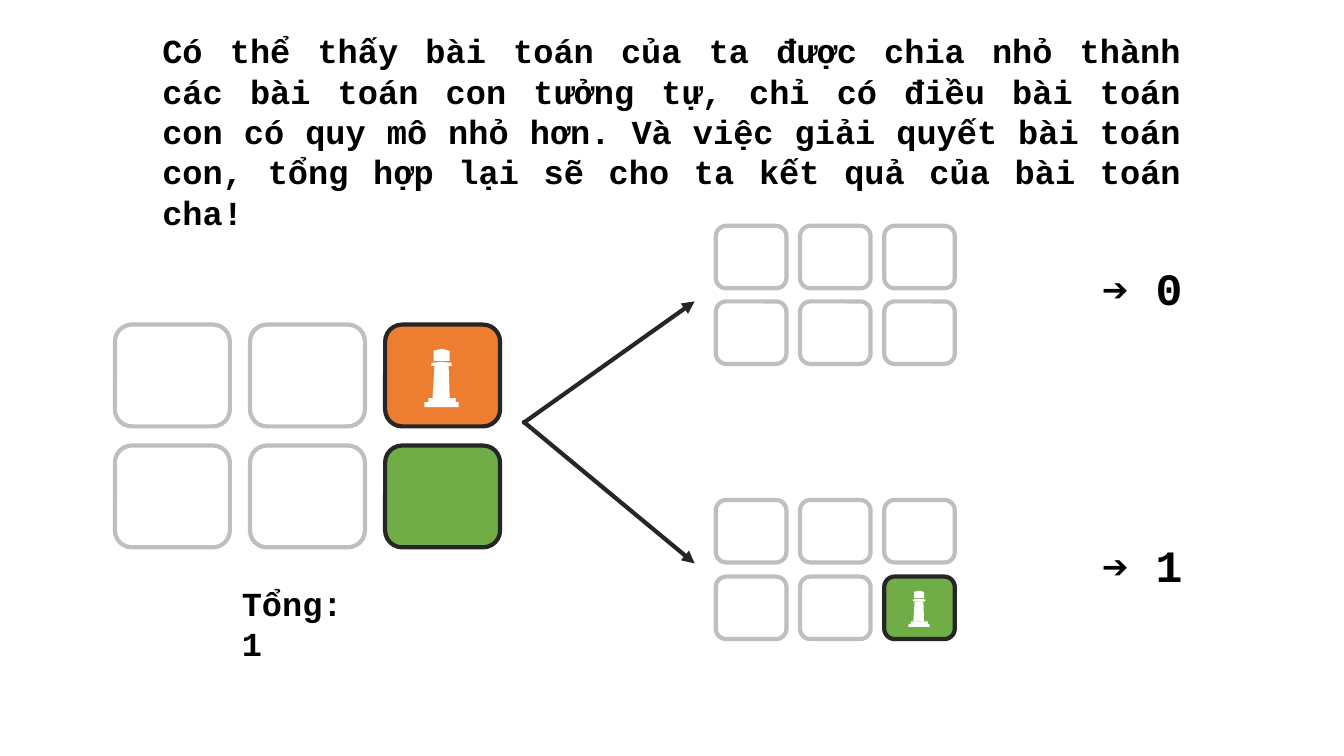
from dataclasses import dataclass, field

from pptx import Presentation
from pptx.dml.color import RGBColor
from pptx.enum.shapes import MSO_CONNECTOR, MSO_SHAPE
from pptx.enum.text import MSO_ANCHOR, MSO_AUTO_SIZE, PP_ALIGN
from pptx.oxml.ns import qn
from pptx.shapes.autoshape import Shape
from pptx.slide import Slide
from pptx.util import Inches, Pt


@dataclass(frozen=True)
class Theme:
    font: str = "Courier New"
    text: RGBColor = RGBColor(0x00, 0x00, 0x00)
    dark: RGBColor = RGBColor(0x26, 0x26, 0x26)
    empty_border: RGBColor = RGBColor(0xBF, 0xBF, 0xBF)
    orange: RGBColor = RGBColor(0xED, 0x7D, 0x31)
    green: RGBColor = RGBColor(0x70, 0xAD, 0x47)
    tower: RGBColor = RGBColor(0xFF, 0xFF, 0xFF)
    body_size: int = 24
    result_size: int = 32
    border: int = 3


THEME = Theme()
ROWS, COLUMNS = 2, 3


@dataclass(frozen=True)
class Board:
    """A 2 x 3 board in inches; fills maps (row, column) to a cell colour."""
    left: float
    top: float
    width: float
    height: float
    cell_width: float
    cell_height: float
    fills: dict[tuple[int, int], RGBColor] = field(default_factory=dict)


@dataclass(frozen=True)
class Tower:
    left: float
    top: float
    scale: float


@dataclass(frozen=True)
class Label:
    left: float
    top: float
    width: float
    height: float
    text: str
    size: int


BOARDS = [
    Board(1.14, 3.22, 3.82, 2.21, 1.14, 1.01,
          {(0, 2): THEME.orange, (1, 2): THEME.green}),
    Board(7.1, 2.24, 2.37, 1.37, 0.7, 0.62),
    Board(7.1, 4.96, 2.37, 1.38, 0.7, 0.62, {(1, 2): THEME.green}),
]
TOWERS = [Tower(4.21, 3.46, 1), Tower(9.01, 5.86, 0.62)]
TOWER_OUTLINES = [
    [(0.09, 0.02), (0.17, 0), (0.25, 0.02), (0.25, 0.12), (0.09, 0.12)],
    [(0.07, 0.14), (0.17, 0.13), (0.27, 0.14), (0.27, 0.17), (0.07, 0.17)],
    [(0.1, 0.17), (0.24, 0.17), (0.25, 0.49), (0.08, 0.49)],
]
TOWER_STEPS = [(0.04, 0.49, 0.27, 0.04), (0, 0.53, 0.34, 0.05)]
LABELS = [
    Label(10.83, 2.54, 1.17, 0.64, "➔ 0", THEME.result_size),
    Label(10.83, 5.29, 1.17, 0.64, "➔ 1", THEME.result_size),
    Label(2.3, 5.73, 1.5, 0.5, "Tổng: 1", THEME.body_size),
]
FORK = (5.2, 4.19)
BRANCH_ENDS = [(6.89, 2.99), (6.89, 5.59)]
FORK_DOT = 0.05
EXPLANATION = (
    "Có thể thấy bài toán của ta được chia nhỏ thành các bài toán con tưởng tự, "
    "chỉ có điều bài toán con có quy mô nhỏ hơn. Và việc giải quyết bài toán con, "
    "tổng hợp lại sẽ cho ta kết quả của bài toán cha!"
)


def write(shape: Shape, text: str, size: int, align: PP_ALIGN) -> None:
    frame = shape.text_frame
    frame.word_wrap = True
    frame.auto_size = MSO_AUTO_SIZE.SHAPE_TO_FIT_TEXT
    frame.vertical_anchor = MSO_ANCHOR.TOP
    paragraph = frame.paragraphs[0]
    paragraph.alignment = align
    run = paragraph.add_run()
    run.text = text
    run.font.name = THEME.font
    run.font.size = Pt(size)
    run.font.bold = True
    run.font.color.rgb = THEME.text


def fill_flat(shape: Shape, color: RGBColor) -> None:
    shape.shadow.inherit = False
    shape.fill.solid()
    shape.fill.fore_color.rgb = color
    shape.line.fill.background()


def add_explanation(slide: Slide) -> None:
    title = slide.shapes.title
    title.left, title.top = Inches(1.51), Inches(0.25)
    title.width, title.height = Inches(10.3), Inches(1.72)
    write(title, EXPLANATION, THEME.body_size, PP_ALIGN.JUSTIFY)


def add_board(slide: Slide, board: Board) -> None:
    column_step = (board.width - board.cell_width) / (COLUMNS - 1)
    row_step = (board.height - board.cell_height) / (ROWS - 1)
    for row in range(ROWS):
        for column in range(COLUMNS):
            cell = slide.shapes.add_shape(
                MSO_SHAPE.ROUNDED_RECTANGLE,
                Inches(board.left + column * column_step),
                Inches(board.top + row * row_step),
                Inches(board.cell_width), Inches(board.cell_height))
            cell.shadow.inherit = False
            color = board.fills.get((row, column))
            if color is None:
                cell.fill.background()
            else:
                cell.fill.solid()
                cell.fill.fore_color.rgb = color
            cell.line.color.rgb = THEME.dark if color else THEME.empty_border
            cell.line.width = Pt(THEME.border)


def add_tower(slide: Slide, tower: Tower) -> None:
    parts = slide.shapes.add_group_shape().shapes
    for outline in TOWER_OUTLINES:
        points = [(Inches(tower.left + x * tower.scale),
                   Inches(tower.top + y * tower.scale)) for x, y in outline]
        builder = parts.build_freeform(*points[0])
        builder.add_line_segments(points[1:], close=True)
        fill_flat(builder.convert_to_shape(), THEME.tower)
    for x, y, width, height in TOWER_STEPS:
        step = parts.add_shape(
            MSO_SHAPE.RECTANGLE,
            Inches(tower.left + x * tower.scale), Inches(tower.top + y * tower.scale),
            Inches(width * tower.scale), Inches(height * tower.scale))
        fill_flat(step, THEME.tower)


def add_branch(slide: Slide, end: tuple[float, float]) -> None:
    """Draw an arrow from the fork to a subproblem."""
    branch = slide.shapes.add_connector(
        MSO_CONNECTOR.STRAIGHT, *map(Inches, FORK), *map(Inches, end))
    branch.line.color.rgb = THEME.dark
    branch.line.width = Pt(THEME.border)
    properties = branch._element.spPr
    arrowhead = properties.find(qn("a:ln")).makeelement(
        qn("a:tailEnd"), {"type": "triangle"})
    properties.find(qn("a:ln")).append(arrowhead)
    properties.append(properties.makeelement(qn("a:effectLst"), {}))


def add_fork_dot(slide: Slide) -> None:
    x, y = FORK
    dot = slide.shapes.add_shape(
        MSO_SHAPE.OVAL, Inches(x - FORK_DOT / 2), Inches(y - FORK_DOT / 2),
        Inches(FORK_DOT), Inches(FORK_DOT))
    fill_flat(dot, THEME.dark)


def add_label(slide: Slide, label: Label) -> None:
    box = slide.shapes.add_textbox(
        Inches(label.left), Inches(label.top),
        Inches(label.width), Inches(label.height))
    write(box, label.text, label.size, PP_ALIGN.LEFT)


def main() -> None:
    presentation = Presentation()
    presentation.slide_width = Inches(13.33)
    presentation.slide_height = Inches(7.5)
    slide = presentation.slides.add_slide(
        presentation.slide_layouts.get_by_name("Title Only"))
    add_explanation(slide)
    for board in BOARDS:
        add_board(slide, board)
    for tower in TOWERS:
        add_tower(slide, tower)
    for end in BRANCH_ENDS:
        add_branch(slide, end)
    add_fork_dot(slide)
    for label in LABELS:
        add_label(slide, label)
    presentation.save("out.pptx")


if __name__ == "__main__":
    main()
